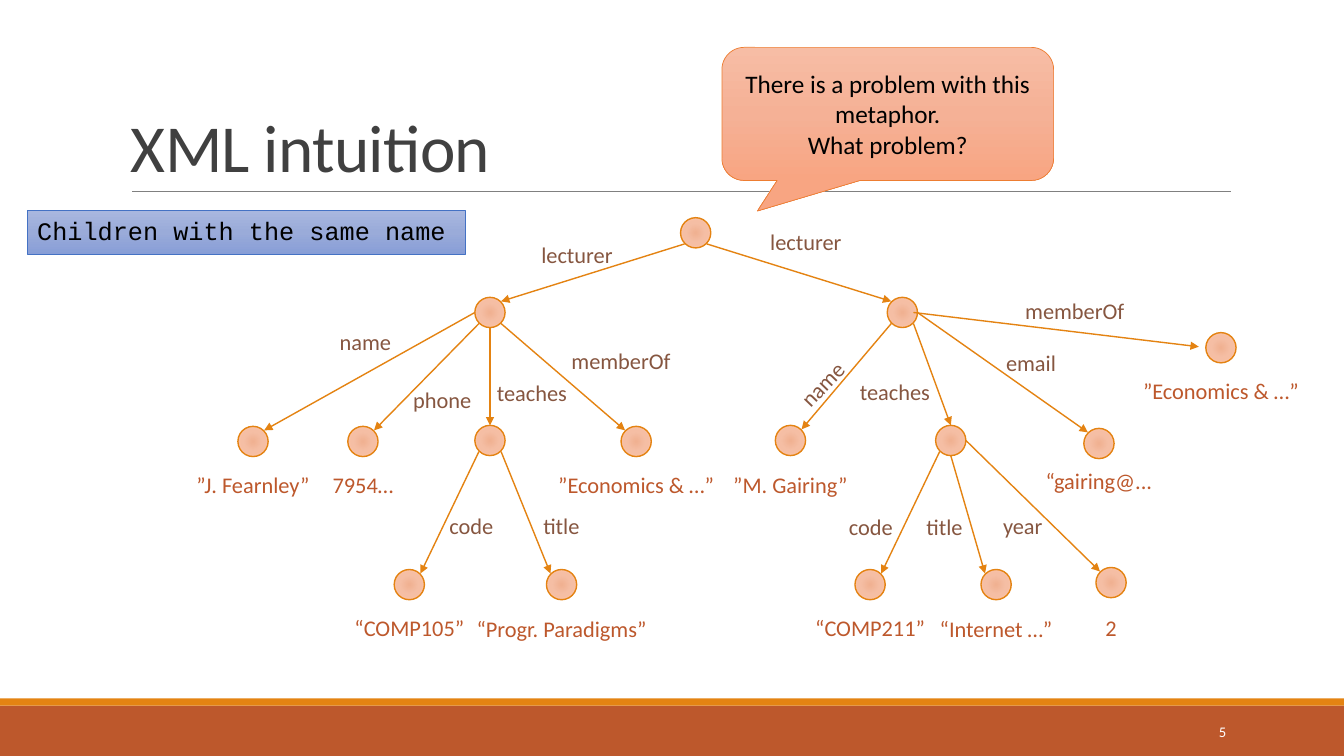
from lxml import etree
from pptx import Presentation
from pptx.dml.color import RGBColor
from pptx.enum.shapes import MSO_CONNECTOR, MSO_SHAPE
from pptx.enum.text import MSO_ANCHOR, MSO_AUTO_SIZE, PP_ALIGN
from pptx.oxml import parse_xml
from pptx.oxml.ns import nsdecls, qn
from pptx.util import Inches, Pt

TITLE = "XML intuition"
PAGE = "5"
QUESTION = ["There is a problem with this metaphor.", "What problem?"]
CAPTION = "Children with the same name"

# node: (centre x, centre y)
BRANCHES = {
    "root": (6.9, 2.31),
    "lecturer 1": (4.86, 3.1),
    "lecturer 2": (8.95, 3.1),
    "course 1": (4.86, 4.37),
    "course 2": (9.43, 4.37),
}
# node: (centre x, centre y, value, value width, value top below centre)
LEAVES = {
    "name 1": (2.51, 4.38, "”J. Fearnley”", 1.34, 0.24),
    "phone 1": (3.6, 4.38, "7954…", 0.83, 0.24),
    "dept 1": (6.31, 4.38, "”Economics & …”", 1.76, 0.24),
    "code 1": (4.06, 5.8, "“COMP105”", 1.31, 0.24),
    "title 1": (5.57, 5.8, "“Progr. Paradigms”", 1.91, 0.25),
    "name 2": (7.84, 4.37, "”M. Gairing”", 1.35, 0.25),
    "email 2": (10.9, 4.4, "“gairing@...", 1.27, 0.19),
    "dept 2": (12.11, 3.45, "”Economics & …”", 1.76, 0.24),
    "code 2": (8.63, 5.8, "“COMP211”", 1.31, 0.24),
    "title 2": (9.88, 5.8, "“Internet …”", 1.33, 0.25),
    "year 2": (11.02, 5.78, "2", 0.32, 0.26),
}
# parent, child, leaving port, arriving port, label, label left, label top, label rotation
EDGES = [
    ("root", "lecturer 1", "SW", "NE", "lecturer", 5.27, 2.34, 0),
    ("root", "lecturer 2", "SE", "NW", "lecturer", 7.54, 2.21, 0),
    ("lecturer 1", "name 1", "W", "NE", "name", 3.27, 3.21, 0),
    ("lecturer 1", "phone 1", "SW", "NE", "phone", 4, 3.78, 0),
    ("lecturer 1", "course 1", "S", "N", "teaches", 4.83, 3.71, 0),
    ("lecturer 1", "dept 1", "SE", "NW", "memberOf", 5.57, 3.39, 0),
    ("lecturer 2", "name 2", "SW", "NE", "name", 7.8, 3.62, 314.1),
    ("lecturer 2", "course 2", "SE", "N", "teaches", 8.43, 3.7, 0),
    ("lecturer 2", "email 2", "E", "NW", "email", 9.88, 3.41, 0),
    ("lecturer 2", "dept 2", "inner E", "outer W", "memberOf", 10.07, 2.9, 0),
    ("course 1", "code 1", "SW", "NE", "code", 4.36, 5.03, 0),
    ("course 1", "title 1", "SE", "NW", "title", 5.29, 5.03, 0),
    ("course 2", "code 2", "SW", "NE", "code", 8.32, 5.04, 0),
    ("course 2", "title 2", "S", "NW", "title", 9.09, 5.04, 0),
    ("course 2", "year 2", "E", "NW", "year", 9.85, 5.03, 0),
]
LABEL_WIDTHS = {"lecturer": 0.92, "name": 0.72, "phone": 0.79, "teaches": 0.91, "memberOf": 1.2,
                "email": 0.7, "code": 0.64, "title": 0.57, "year": 0.6}

RADIUS, DIAGONAL = 0.15, 0.11
PORTS = {
    "N": (0, -RADIUS), "S": (0, RADIUS), "W": (-RADIUS, 0), "E": (RADIUS, 0),
    "NW": (-DIAGONAL, -DIAGONAL), "NE": (DIAGONAL, -DIAGONAL),
    "SW": (-DIAGONAL, DIAGONAL), "SE": (DIAGONAL, DIAGONAL),
    "inner E": (DIAGONAL, 0), "outer W": (-2 * DIAGONAL, -0.01),
}

RUST = RGBColor(0xBD, 0x58, 0x2C)
ORANGE = RGBColor(0xE4, 0x83, 0x12)
BROWN = RGBColor(0x86, 0x56, 0x40)
GREY = RGBColor(0x80, 0x80, 0x80)
CHARCOAL = RGBColor(0x40, 0x40, 0x40)
WHITE = RGBColor(0xFF, 0xFF, 0xFF)
BLACK = RGBColor(0, 0, 0)
CALLOUT_EDGE = RGBColor(0xED, 0x7D, 0x31)
CAPTION_EDGE = RGBColor(0x44, 0x72, 0xC4)
DOWNWARD = '<a:lin ang="5400000" scaled="0"/>'
CIRCULAR = ('<a:path path="circle"><a:fillToRect l="100000" t="100000" '
            'r="100000" b="100000"/></a:path>')
NODE_FILL = ([(0, "F0B191"), (45, "F5BEA4"), (100, "FDC3A8")], CIRCULAR)
CALLOUT_FILL = ([(0, "F7BDA5"), (50, "F5B196"), (100, "F8A582")], DOWNWARD)
CAPTION_FILL = ([(0, "A8B7DF"), (50, "9AABD9"), (100, "889ED7")], DOWNWARD)

prs = Presentation()
prs.slide_width, prs.slide_height = Inches(13.33), Inches(7.5)
slide = prs.slides.add_slide(prs.slide_layouts[6])


def add_box(kind, left, top, width, height, fill, edge=None, edge_width=1):
    """Add a shape whose fill is a colour or a (stops, direction) gradient."""
    box = slide.shapes.add_shape(kind, *map(Inches, (left, top, width, height)))
    box.shadow.inherit = False
    if isinstance(fill, RGBColor):
        box.fill.solid()
        box.fill.fore_color.rgb = fill
    else:
        stops, direction = fill
        marks = "".join(f'<a:gs pos="{pos * 1000}"><a:srgbClr val="{rgb}"/></a:gs>'
                        for pos, rgb in stops)
        box.fill.gradient()
        plain = box._element.spPr.find(qn("a:gradFill"))
        plain.getparent().replace(plain, parse_xml(
            f'<a:gradFill {nsdecls("a")} rotWithShape="1"><a:gsLst>{marks}</a:gsLst>'
            f'{direction}</a:gradFill>'))
    if edge is None:
        box.line.fill.background()
    else:
        box.line.color.rgb = edge
        box.line.width = Pt(edge_width)
    return box


def write(box, lines, size, color, align=PP_ALIGN.LEFT, anchor=MSO_ANCHOR.TOP,
          font="Calibri", wrap=True):
    frame = box.text_frame
    frame.text = "\n".join(lines)
    frame.word_wrap = wrap
    frame.vertical_anchor = anchor
    if not wrap:
        frame.auto_size = MSO_AUTO_SIZE.SHAPE_TO_FIT_TEXT
    for paragraph in frame.paragraphs:
        paragraph.alignment = align
        for run in paragraph.runs:
            run.font.size, run.font.name = Pt(size), font
            run.font.color.rgb = color


def add_text(left, top, width, height, line, *style, **options):
    box = slide.shapes.add_textbox(*map(Inches, (left, top, width, height)))
    write(box, [line], *style, **options)
    return box


def add_line(start, end, color, width, arrow=False):
    line = slide.shapes.add_connector(MSO_CONNECTOR.STRAIGHT, *map(Inches, (*start, *end)))
    line.line.color.rgb = color
    line.line.width = Pt(width)
    if arrow:
        etree.SubElement(line.line._get_or_add_ln(), qn("a:tailEnd"), type="triangle")
    etree.SubElement(line._element.spPr, qn("a:effectLst"))


def port_point(node, port):
    return [centre + shift for centre, shift in zip(centres[node], PORTS[port])]


add_box(MSO_SHAPE.RECTANGLE, 0, 7, 13.33, 0.5, RUST)
add_box(MSO_SHAPE.RECTANGLE, 0, 6.93, 13.33, 0.07, ORANGE)
add_line((1.31, 1.9), (12.21, 1.9), GREY, 0.5)
title = add_text(1.2, 0.31, 11, 1.59, TITLE, 48, CHARCOAL, anchor=MSO_ANCHOR.BOTTOM)
title_line = title.text_frame.paragraphs[0]
title_line.line_spacing = 0.85
title_line.runs[0].font._element.set("spc", "-50")
add_text(10.83, 7.06, 1.43, 0.4, PAGE, 10.5, WHITE, PP_ALIGN.RIGHT, MSO_ANCHOR.MIDDLE)

centres = {node: place[:2] for node, place in {**BRANCHES, **LEAVES}.items()}
for x, y in centres.values():
    add_box(MSO_SHAPE.OVAL, x - RADIUS, y - RADIUS, 2 * RADIUS, 2 * RADIUS, NODE_FILL, ORANGE)
for x, y, value, width, drop in LEAVES.values():
    add_text(x - width / 2, y + drop, width, 0.37, value, 16, RUST, PP_ALIGN.CENTER, wrap=False)
for parent, child, leaving, arriving, label, left, top, rotation in EDGES:
    add_line(port_point(parent, leaving), port_point(child, arriving), ORANGE, 1, arrow=True)
    tag = add_text(left, top, LABEL_WIDTHS[label], 0.37, label, 16, BROWN, wrap=False)
    tag.rotation = rotation

callout = add_box(MSO_SHAPE.ROUNDED_RECTANGULAR_CALLOUT, 7.16, 0.47, 3.29, 1.32,
                  CALLOUT_FILL, CALLOUT_EDGE, 0.5)
for i, amount in enumerate((-0.393, 0.73, 0.167)):
    callout.adjustments[i] = amount
write(callout, QUESTION, 18, BLACK, PP_ALIGN.CENTER, MSO_ANCHOR.MIDDLE)
caption = add_box(MSO_SHAPE.RECTANGLE, 0.27, 2.09, 4.35, 0.43, CAPTION_FILL, CAPTION_EDGE, 0.5)
write(caption, [CAPTION], 18, BLACK, font="Courier New")

prs.save("out.pptx")
